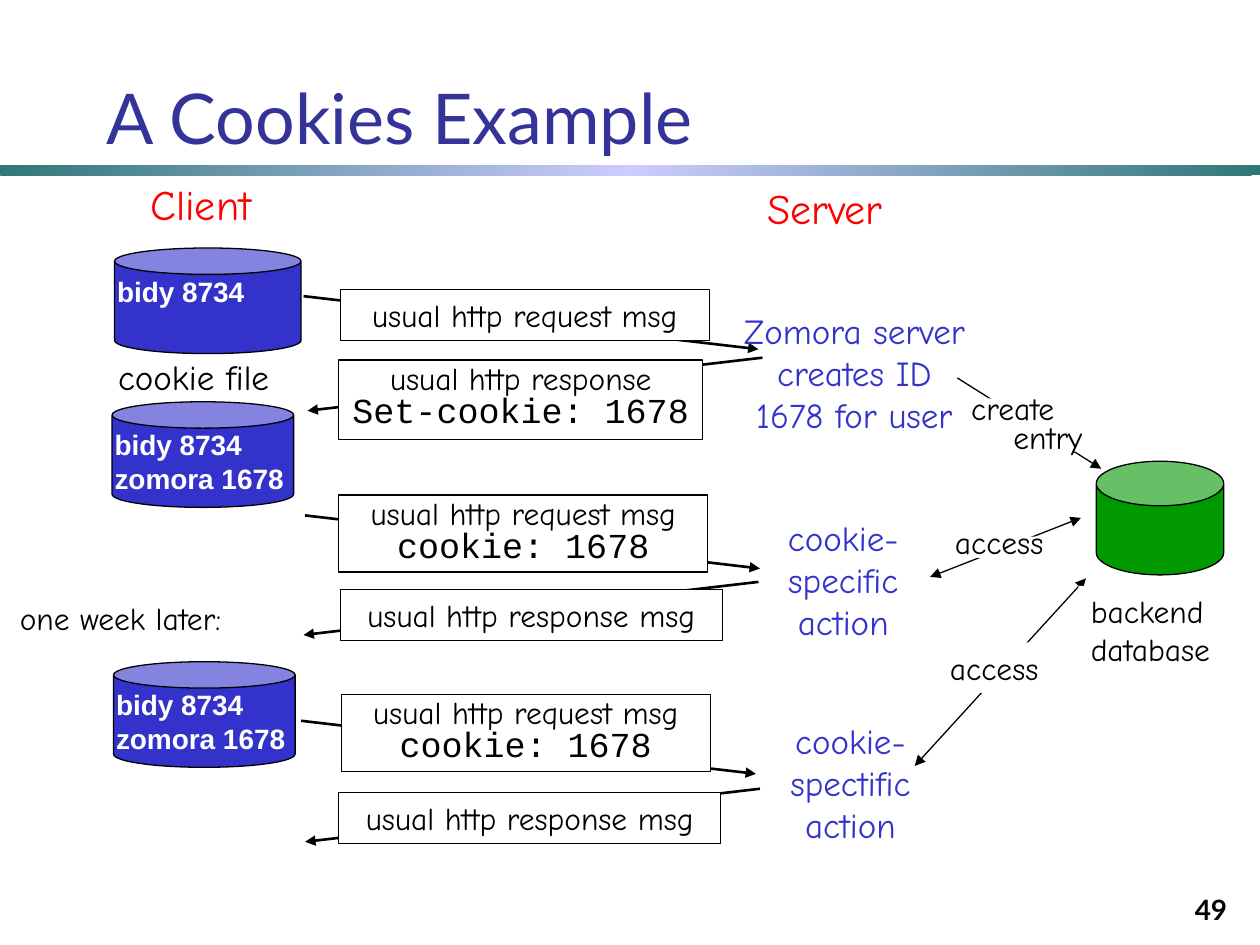
from copy import deepcopy
from dataclasses import dataclass

from lxml import etree
from pptx import Presentation
from pptx.dml.color import RGBColor
from pptx.enum import shapes as kinds, text as modes
from pptx.oxml import ns
from pptx.util import Cm, Pt


@dataclass(frozen=True)
class Theme:
    black: str = "000000"
    white: str = "FFFFFF"
    red: str = "FF0000"
    blue: str = "3333CC"
    navy: str = "333399"
    green: str = "009900"
    teal: str = "2F7676"
    pale: str = "CCCCFF"
    hand: str = "Comic Neue"
    code: str = "Courier New"
    sans: str = "Arial"
    head: str = "Lato"
    title: int = 40
    label: int = 24
    note: int = 20
    body: int = 18
    small: int = 16


T = Theme()
LEFT, MID, RIGHT = (modes.PP_ALIGN.LEFT, modes.PP_ALIGN.CENTER,
                    modes.PP_ALIGN.RIGHT)
TOP, BOTTOM = modes.MSO_ANCHOR.TOP, modes.MSO_ANCHOR.BOTTOM
RECT, CAN = kinds.MSO_SHAPE.RECTANGLE, kinds.MSO_SHAPE.CAN
REACH, DROP = 9.17, 1.07  # run and fall of every message arrow


def rgb(code):
    return RGBColor.from_string(code)


def write(shape, lines, size=T.body, font=T.hand, color=T.black, bold=False,
          align=LEFT, anchor=TOP, wrap=True, space=None):
    """Fill a shape with one paragraph for each line."""
    frame = shape.text_frame
    frame.text = "\n".join(lines)
    frame.word_wrap = wrap
    frame.auto_size = modes.MSO_AUTO_SIZE.NONE
    frame.vertical_anchor = anchor
    for para in frame.paragraphs:
        para.alignment = align
        para.line_spacing = space
        para.font.size, para.font.name = Pt(size), font
        para.font.bold = bold
        para.font.color.rgb = rgb(color)
    return frame.paragraphs


def label(slide, box, *lines, **style):
    return write(slide.shapes.add_textbox(*map(Cm, box)), lines, **style)


def block(slide, kind, box, fill, edge=True):
    shape = slide.shapes.add_shape(kind, *map(Cm, box))
    shape.shadow.inherit = False
    shape.fill.solid()
    shape.fill.fore_color.rgb = rgb(fill)
    if edge:
        shape.line.color.rgb = rgb(T.black)
        shape.line.width = Pt(0.75)
    else:
        shape.line.fill.background()
    return shape


def arrow(slide, start, end, width=0.75, both=False):
    line = slide.shapes.add_connector(
        kinds.MSO_CONNECTOR.STRAIGHT, *map(Cm, (*start, *end)))
    line.line.color.rgb = rgb(T.black)
    line.line.width = Pt(width)
    edge = line.line._get_or_add_ln()
    for tag in ("a:headEnd", "a:tailEnd") if both else ("a:tailEnd",):
        etree.SubElement(edge, ns.qn(tag), type="triangle")
    etree.SubElement(line._element.spPr, ns.qn("a:effectLst"))


def message(slide, start, box, text, code=None, reply=False):
    """Draw an arrow to the server, or back for a reply, and its box."""
    x, y = start
    arrow(slide, start, (x - REACH if reply else x + REACH, y + DROP), 1.5)
    shape = block(slide, RECT, box, T.white)
    lines = [text, code] if code else [text]
    paras = write(shape, lines, align=MID, space=0.8 if code else None)
    if code:
        paras[1].font.name, paras[1].font.size = T.code, Pt(T.note)


def store(slide, x, y, width, *lines):
    """Draw a cookie file with its entries."""
    block(slide, CAN, (x, y, width, 2.13), T.blue).adjustments[0] = 0.25
    label(slide, (x - 0.2, y + 0.4, 4.42, 1.63), *lines, size=T.small,
          font=T.sans, color=T.white, bold=True)


def stripe(slide):
    bar = block(slide, RECT, (0, 3.33, 25.4, 0.2), T.teal, edge=False)
    bar.fill.gradient()
    bar.fill.gradient_angle = 315
    first = bar.fill.gradient_stops[0]._gs
    first.addnext(deepcopy(first))
    tints = (0, T.teal), (0.5, T.pale), (1, T.teal)
    for stop, (place, tint) in zip(bar.fill.gradient_stops, tints):
        stop.position = place
        stop.color.rgb = rgb(tint)


def heading(slide):
    title = slide.shapes.title
    title.left, title.top, title.width, title.height = map(
        Cm, (1.9, 0.91, 23.5, 2.41))
    write(title, ["A Cookies Example"], size=T.title, font=T.head,
          color=T.navy, anchor=BOTTOM)
    label(slide, (19.71, 17.53, 5.28, 1.27), "49", size=T.small, font=T.head,
          bold=True, align=RIGHT, anchor=BOTTOM)
    for box, name in (((2.64, 3.48, 2.82, 1.3), "Client"),
                      ((14.99, 3.56, 3.28, 1.3), "Server")):
        label(slide, box, name, size=T.label, color=T.red, align=MID,
              wrap=False)


def client(slide):
    old, new = "bidy 8734", "zomora 1678"
    store(slide, 2.31, 5, 3.76, old)
    store(slide, 2.26, 8.1, 3.66, old, new)
    store(slide, 2.29, 13.34, 3.66, old, new)
    label(slide, (2.13, 7.04, 4.95, 1.09), "cookie file", size=T.note)
    label(slide, (0.15, 11.96, 5.05, 1.02), "one week later:", wrap=False)


def traffic(slide):
    ask, answer = "usual http request msg", "usual http response msg"
    cookie = "cookie: 1678"
    message(slide, (6.12, 5.97), (6.86, 5.84, 7.44, 1.02), ask)
    message(slide, (15.37, 7.21), (6.83, 7.26, 7.34, 1.6),
            "usual http response", "Set-cookie: 1678", reply=True)
    message(slide, (6.15, 10.39), (6.83, 9.98, 7.44, 1.55), ask, cookie)
    message(slide, (15.29, 11.73), (6.86, 11.89, 7.7, 1.02), answer,
            reply=True)
    message(slide, (6.07, 14.53), (6.88, 14, 7.44, 1.55), ask, cookie)
    message(slide, (15.32, 15.9), (6.83, 15.98, 7.7, 1.02), answer,
            reply=True)


def server(slide):
    for x, y, width, lines in (
            (14.43, 6.12, 5.59, ("Zomora server", "creates ID",
                                 "1678 for user")),
            (15.44, 10.29, 3.12, ("cookie-", "specific", "action")),
            (15.42, 14.38, 3.45, ("cookie-", "spectific", "action"))):
        label(slide, (x, y, width, 2.82), *lines, size=T.note, color=T.blue,
              align=MID, wrap=False)


def backend(slide):
    block(slide, CAN, (22.1, 9.3, 2.57, 2.29), T.green).adjustments[0] = 0.392
    arrow(slide, (19.3, 7.62), (22.2, 9.45))
    block(slide, RECT, (19.71, 8.03, 2.67, 1.07), T.white, edge=False)
    paras = label(slide, (19.33, 7.9, 3.25, 1.42), "create", "entry",
                  space=0.75)
    paras[1]._p.get_or_add_pPr().set("marL", str(Cm(0.85)))

    arrow(slide, (18.75, 11.63), (21.79, 10.44), both=True)
    block(slide, RECT, (19.43, 10.82, 1.7, 0.43), T.white, edge=False)
    label(slide, (19, 10.41, 2.51, 1.02), "access", wrap=False)

    arrow(slide, (18.44, 15.44), (21.89, 11.66), both=True)
    for box, lines in (((18.9, 12.95, 2.51, 1.02), ["access"]),
                       ((21.74, 11.81, 3.3, 1.8), ["backend", "database"])):
        write(block(slide, RECT, box, T.white, edge=False), lines, wrap=False)


def main():
    deck = Presentation()
    deck.slide_width, deck.slide_height = Cm(25.4), Cm(19.05)
    slide = deck.slides.add_slide(deck.slide_layouts[5])
    for part in (stripe, heading, traffic, client, server, backend):
        part(slide)
    deck.save("out.pptx")


if __name__ == "__main__":
    main()
